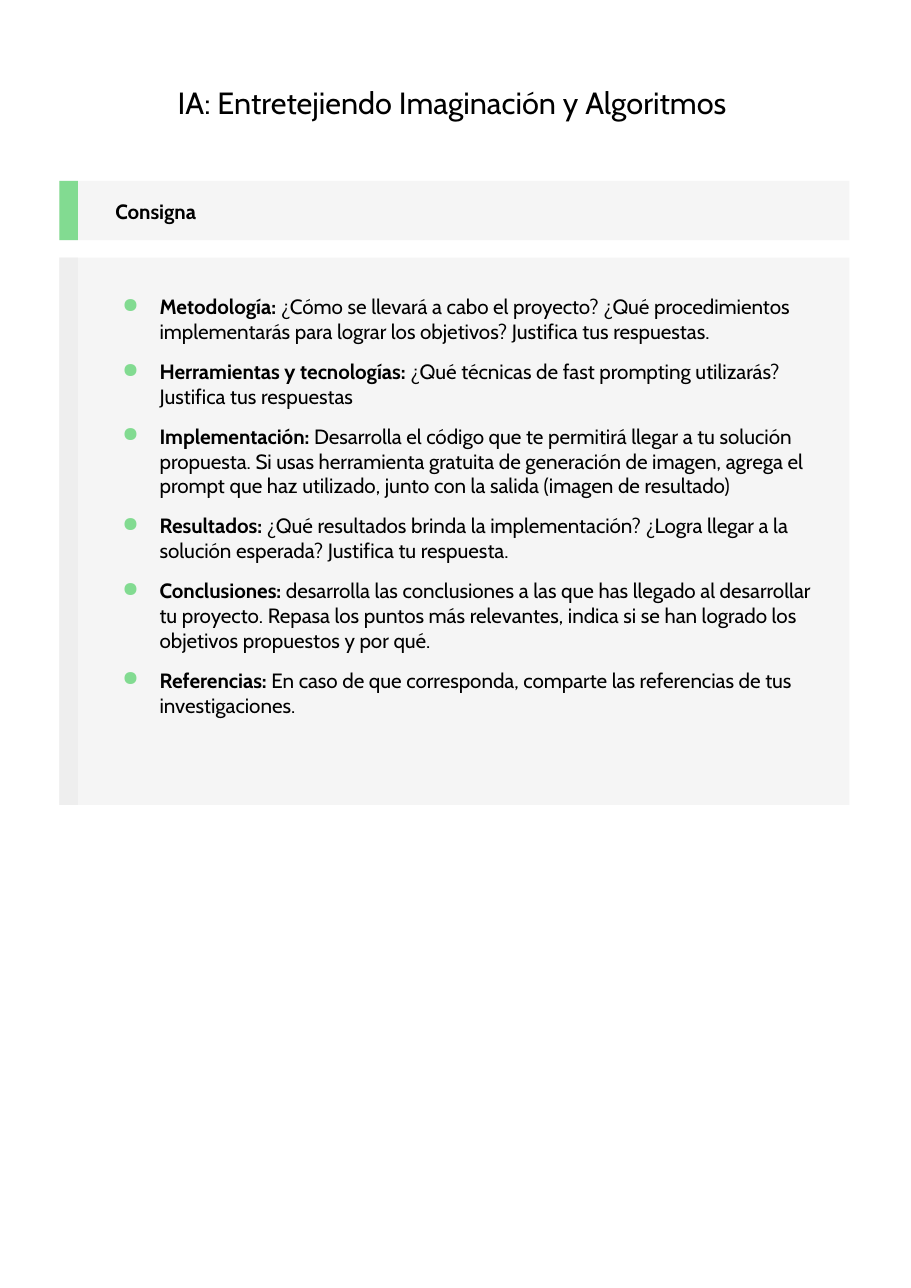
from lxml import etree
from pptx import Presentation, util as u
from pptx.dml.color import RGBColor
from pptx.enum import shapes, text
from pptx.oxml import ns

BLACK = RGBColor(0x00, 0x00, 0x00)
GREEN = RGBColor(0x82, 0xDB, 0x91)
PALE = RGBColor(0xF5, 0xF5, 0xF5)
GREY = RGBColor(0xEE, 0xEE, 0xEE)

TASKS = [
    ("Metodología:", "¿Cómo se llevará a cabo el proyecto? ¿Qué procedimientos "
     "implementarás para lograr los objetivos? Justifica tus respuestas."),
    ("Herramientas y tecnologías:", "¿Qué técnicas de fast prompting utilizarás? "
     "Justifica tus respuestas"),
    ("Implementación:", "Desarrolla el código que te permitirá llegar a tu solución "
     "propuesta. Si usas herramienta gratuita de generación de imagen, agrega el "
     "prompt que haz utilizado, junto con la salida (imagen de resultado)"),
    ("Resultados:", "¿Qué resultados brinda la implementación? ¿Logra llegar a la "
     "solución esperada? Justifica tu respuesta."),
    ("Conclusiones:", "desarrolla las conclusiones a las que has llegado al "
     "desarrollar tu proyecto. Repasa los puntos más relevantes, indica si se han "
     "logrado los objetivos propuestos y por qué."),
    ("Referencias:", "En caso de que corresponda, comparte las referencias de tus "
     "investigaciones."),
]


class Sheet:
    font = "Cabin"
    size = 13.5
    left, width, strip = 1.37, 18.21, 0.43

    def __init__(self, slide):
        self.slide = slide

    def panel(self, top, height, accent):
        group = self.slide.shapes.add_group_shape()
        for width, color in ((self.width, PALE), (self.strip, accent)):
            rect = group.shapes.add_shape(
                shapes.MSO_SHAPE.RECTANGLE,
                u.Cm(self.left), u.Cm(top), u.Cm(width), u.Cm(height))
            rect.shadow.inherit = False
            rect.fill.solid()
            rect.fill.fore_color.rgb = color
            rect.line.fill.background()

    def box(self, left, top, width, height):
        area = [u.Cm(n) for n in (left, top, width, height)]
        frame = self.slide.shapes.add_textbox(*area).text_frame
        frame.word_wrap = True
        frame.margin_left = frame.margin_right = u.Cm(0.25)
        frame.margin_top = frame.margin_bottom = u.Cm(0.25)
        return frame

    def style(self, run, size=None, bold=False):
        run.font.name = self.font
        run.font.size = u.Pt(size or self.size)
        run.font.bold = bold
        run.font.color.rgb = BLACK

    def label(self, words, area, size=None, bold=False, align=None, anchor=None):
        frame = self.box(*area)
        frame.text = words
        frame.vertical_anchor = anchor
        par = frame.paragraphs[0]
        par.alignment = align
        self.style(par.runs[0], size, bold)

    def bullet(self, par):
        props = par._p.get_or_add_pPr()
        props.set("marL", str(u.Cm(1.27)))
        props.set("indent", str(u.Cm(-0.86)))
        color = etree.SubElement(props, ns.qn("a:buClr"))
        etree.SubElement(color, ns.qn("a:srgbClr"), val=str(GREEN))
        etree.SubElement(props, ns.qn("a:buChar"), char="●")

    def tasks(self, items, area):
        frame = self.box(*area)
        for i, (head, body) in enumerate(items):
            par = frame.add_paragraph() if i else frame.paragraphs[0]
            par.space_before = u.Pt(10 if i else 0)
            self.bullet(par)
            for words, bold in ((head + " ", True), (body, False)):
                run = par.add_run()
                run.text = words
                self.style(run, bold=bold)


def main():
    deck = Presentation()
    deck.slide_width, deck.slide_height = u.Cm(21), u.Cm(29.7)
    sheet = Sheet(deck.slides.add_slide(deck.slide_layouts[6]))
    sheet.panel(5.94, 12.62, GREY)
    sheet.panel(4.17, 1.37, GREEN)
    sheet.label("Consigna", (2.41, 4.24, 16.56, 1.24), bold=True,
                anchor=text.MSO_ANCHOR.MIDDLE)
    sheet.tasks(TASKS, (2.16, 6.53, 17.04, 11.53))
    sheet.label("IA: Entretejiendo Imaginación y Algoritmos ",
                (1.4, 1.68, 18.21, 1.37), size=20, align=text.PP_ALIGN.CENTER)
    deck.save("out.pptx")


if __name__ == "__main__":
    main()
